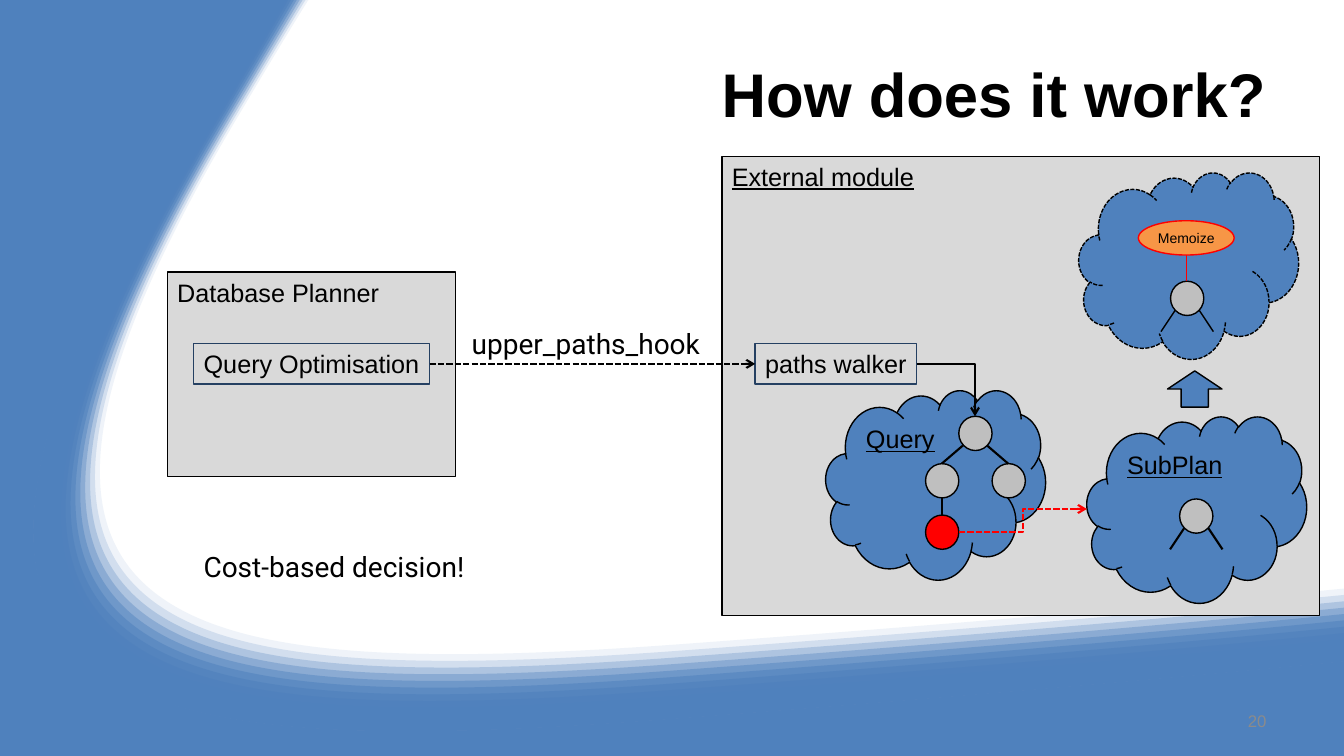
import dataclasses
import typing

import lxml.etree
import pptx
import pptx.dml.color
import pptx.enum.dml
import pptx.enum.shapes
import pptx.enum.text
import pptx.oxml.ns
import pptx.shapes.autoshape
import pptx.shapes.connector
import pptx.util

Inches = pptx.util.Inches
qn = pptx.oxml.ns.qn
Kind = pptx.enum.shapes.MSO_SHAPE
Align = pptx.enum.text.PP_ALIGN
Anchor = pptx.enum.text.MSO_ANCHOR
Point = tuple[float, float]
Step = tuple[str, list[Point]]
BLUE, GREY, NODE_GREY, NAVY = "4F81BD", "D9D9D9", "BFBFBF", "254062"
ORANGE, RED, BLACK = "F79646", "FF0000", "000000"
DASH = pptx.enum.dml.MSO_LINE.SQUARE_DOT
PAGE_WIDTH, PAGE_HEIGHT = 13.33, 7.5
NODE_WIDTH, NODE_HEIGHT = 0.33, 0.34


@dataclasses.dataclass
class Label:
    text: str
    size: float = 18
    font: str = "Arial"
    color: str = BLACK
    bold: bool = False
    underline: bool = False
    align: typing.Any = Align.LEFT
    anchor: typing.Any = Anchor.TOP
    fit: bool = False
    wrap: bool = True
    tight: bool = False


@dataclasses.dataclass
class Block:
    kind: typing.Any
    left: float
    top: float
    width: float
    height: float
    fill: str | None = None
    line: str = BLACK
    label: Label | None = None
    dash: typing.Any = None


@dataclasses.dataclass
class Link:
    start: Point
    end: Point
    color: str = BLACK
    weight: float = 1.5
    dash: typing.Any = None
    arrow: bool = False
    geometry: str = "line"


deck = pptx.Presentation()
deck.slide_width, deck.slide_height = Inches(PAGE_WIDTH), Inches(PAGE_HEIGHT)
page = deck.slides.add_slide(deck.slide_layouts[6])


def rgb(color: str) -> pptx.dml.color.RGBColor:
    return pptx.dml.color.RGBColor.from_string(color)


def apply(target: typing.Any, values: dict[str, typing.Any]) -> None:
    for name, value in values.items():
        setattr(target, name, value)


def write(box: typing.Any, label: Label) -> None:
    frame = box.text_frame
    apply(frame, {"word_wrap": label.wrap, "vertical_anchor": label.anchor})
    if label.fit:
        frame.auto_size = pptx.enum.text.MSO_AUTO_SIZE.SHAPE_TO_FIT_TEXT
    if label.tight:
        apply(frame, dict.fromkeys(
            ("margin_left", "margin_top", "margin_right", "margin_bottom"), 0))
    para = frame.paragraphs[0]
    para.alignment = label.align
    span = para.add_run()
    span.text = label.text
    apply(span.font, {"size": pptx.util.Pt(label.size), "name": label.font,
                      "bold": label.bold, "underline": label.underline})
    span.font.color.rgb = rgb(label.color)


def draw_block(block: Block) -> pptx.shapes.autoshape.Shape:
    shape = page.shapes.add_shape(
        block.kind, *map(Inches, (block.left, block.top, block.width, block.height)))
    shape.shadow.inherit = False
    if block.fill:
        shape.fill.solid()
        shape.fill.fore_color.rgb = rgb(block.fill)
    else:
        shape.fill.background()
    shape.line.color.rgb = rgb(block.line)
    apply(shape.line, {"width": pptx.util.Pt(1), "dash_style": block.dash})
    if block.label:
        write(shape, block.label)
    return shape


def draw_text(left: float, top: float, width: float, height: float, label: Label) -> None:
    write(page.shapes.add_textbox(*map(Inches, (left, top, width, height))), label)


def draw_link(link: Link) -> pptx.shapes.connector.Connector:
    connector = page.shapes.add_connector(
        pptx.enum.shapes.MSO_CONNECTOR.STRAIGHT, *map(Inches, link.start + link.end))
    connector.line.color.rgb = rgb(link.color)
    apply(connector.line, {"width": pptx.util.Pt(link.weight), "dash_style": link.dash})
    properties = connector.element.spPr
    properties.find(qn("a:prstGeom")).set("prst", link.geometry)
    if link.arrow:
        lxml.etree.SubElement(properties.find(qn("a:ln")), qn("a:tailEnd"), type="arrow")
    lxml.etree.SubElement(properties, qn("a:effectLst"))
    return connector


def draw_node(left: float, top: float, fill: str = NODE_GREY) -> None:
    draw_block(Block(Kind.OVAL, left, top, NODE_WIDTH, NODE_HEIGHT, fill))


def draw_rooted_node(left: float, top: float, weight: float) -> None:
    draw_node(left, top)
    middle = left + NODE_WIDTH / 2
    for side in (-1, 1):
        draw_link(Link((middle + side * 0.12, top + 0.29),
                       (middle + side * 0.26, top + 0.5), weight=weight))


def curve(controls: list[Point]) -> list[Step]:
    """Steps along a chain of cubic Bezier curves, after its first point."""
    return [("a:cubicBezTo", controls[first:first + 3]) for first in range(1, len(controls), 3)]


def draw_outline(steps: list[Step], opacity: float = 1) -> None:
    """A page-sized freeform whose outline follows the given steps."""
    width, height = Inches(PAGE_WIDTH), Inches(PAGE_HEIGHT)
    builder = page.shapes.build_freeform(0, 0)
    builder.add_line_segments([(width, 0), (width, height), (0, height)], close=True)
    shape = builder.convert_to_shape()
    shape.shadow.inherit = False
    shape.fill.solid()
    shape.fill.fore_color.rgb = rgb(BLUE)
    shape.line.fill.background()
    properties = shape.element.spPr
    outline = next(properties.iter(qn("a:path")))
    for child in list(outline):
        outline.remove(child)
    for tag, points in steps + [("a:close", [])]:
        step = lxml.etree.SubElement(outline, qn(tag))
        for x, y in points:
            lxml.etree.SubElement(step, qn("a:pt"), x=str(Inches(x)), y=str(Inches(y)))
    if opacity < 1:
        color = next(properties.iter(qn("a:srgbClr")))
        lxml.etree.SubElement(color, qn("a:alpha"), val=str(round(opacity * 100000)))


# Backdrop: a solid sweep and eleven bands that fade towards the white area
SWEEP = [(13.33, 6.56), (13.33, 6.56), (10.75, 6.82), (6.55, 7.14), (1.06, 7.55),
         (-1.62, 7.12), (1.96, 1.15), (2.4, 0.41), (2.65, 0), (2.65, 0)]
FAINT = [(13.33, 5.84), (13.31, 5.84), (10.85, 6.09), (6.9, 6.38), (1.61, 6.78),
         (-0.73, 6.32), (2.4, 1.09), (2.81, 0.4), (3.05, 0.01), (3.06, 0)]
STRONG = [(13.33, 6.47), (12.99, 6.51), (10.48, 6.75), (6.64, 7.04), (1.22, 7.45),
          (-1.42, 7.03), (2.11, 1.14), (2.48, 0.52), (2.71, 0.11), (2.77, 0)]
BANDS = 11
draw_outline([("a:moveTo", SWEEP[:1]), *curve(SWEEP), ("a:lnTo", [(0, 0)]),
              ("a:lnTo", [(0, PAGE_HEIGHT)]), ("a:lnTo", [(PAGE_WIDTH, PAGE_HEIGHT)])])
for band in range(BANDS):
    share = band / (BANDS - 1)
    rim = [(a + (c - a) * share, b + (d - b) * share)
           for (a, b), (c, d) in zip(FAINT, STRONG)]
    draw_outline([("a:moveTo", rim[:1]), *curve(rim), ("a:lnTo", SWEEP[-1:]),
                  *curve(SWEEP[::-1])], (band + 1) / BANDS)

# Panels, title and the hook between planner and module
draw_block(Block(Kind.RECTANGLE, 7.16, 1.55, 5.93, 4.56, GREY,
                 label=Label("External module", underline=True)))
draw_block(Block(Kind.CLOUD, 8.19, 3.87, 2.18, 1.88, BLUE, label=Label("Query", underline=True)))
draw_block(Block(Kind.RECTANGLE, 1.66, 2.7, 2.86, 2.03, GREY, label=Label("Database Planner")))
draw_text(1.73, 0.3, 10.93, 1.25, Label("How does it work?", 44, bold=True,
                                        align=Align.RIGHT, anchor=Anchor.MIDDLE))
optimiser, walker = (
    draw_block(Block(Kind.RECTANGLE, left, 3.41, width, 0.4, line=NAVY, label=Label(
        text, align=Align.CENTER, anchor=Anchor.MIDDLE, fit=True, wrap=False)))
    for left, width, text in ((1.92, 2.34, "Query Optimisation"), (7.49, 1.6, "paths walker")))
hook = draw_link(Link((4.26, 3.61), (7.49, 3.61), dash=DASH, arrow=True))
hook.begin_connect(optimiser, 3)
hook.end_connect(walker, 1)
for left, top, width, text in ((4.58, 3.19, 2.62, "upper_paths_hook"),
                               (1.92, 5.4, 3.38, "Cost-based decision!")):
    draw_text(left, top, width, 0.43, Label(text, 20, "Roboto", fit=True))

# Query tree
for left, top, fill in ((9.84, 4.6, NODE_GREY), (9.51, 4.13, NODE_GREY),
                        (9.18, 4.6, NODE_GREY), (9.18, 5.11, RED)):
    draw_node(left, top, fill)
for start, end in (((9.34, 4.6), (9.55, 4.42)), ((10, 4.6), (9.79, 4.42)),
                   ((9.34, 4.94), (9.34, 5.11))):
    draw_link(Link(start, end))
draw_link(Link((9.09, 3.61), (9.67, 4.13), arrow=True, geometry="bentConnector2"))

# Subplan before and after the change
draw_block(Block(Kind.CLOUD, 10.78, 4.13, 2.18, 1.85, BLUE, label=Label("SubPlan", underline=True)))
draw_rooted_node(11.7, 4.95, 1.5)
draw_block(Block(Kind.CLOUD, 10.7, 1.71, 2.18, 1.85, BLUE, dash=DASH))
draw_rooted_node(11.61, 2.79, 1)
draw_block(Block(Kind.UP_ARROW, 11.58, 3.68, 0.54, 0.36, BLUE))
draw_block(Block(Kind.OVAL, 11.29, 2.19, 0.95, 0.34, ORANGE, RED, Label(
    "Memoize", 10, align=Align.CENTER, anchor=Anchor.MIDDLE, tight=True)))
draw_link(Link((11.77, 2.79), (11.77, 2.53), RED, 1))
draw_link(Link((9.51, 5.28), (10.78, 5.05), RED, dash=DASH, arrow=True, geometry="bentConnector3"))

# Page number
draw_text(9.55, 6.95, 3.11, 0.4, Label("20", 12, color="8B8B8B", align=Align.RIGHT,
                                       anchor=Anchor.MIDDLE))

deck.save("out.pptx")
